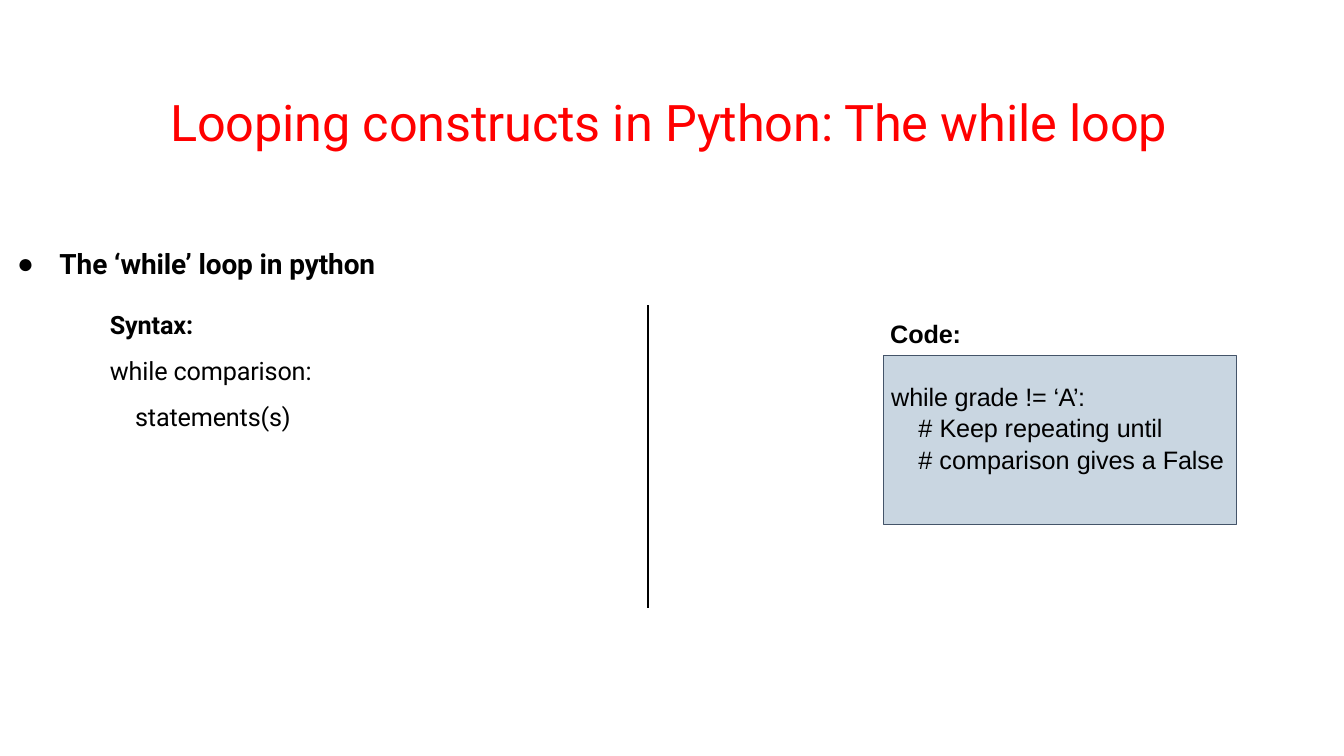
import pptx
import pptx.dml.color
import pptx.enum.shapes
import pptx.enum.text
import pptx.oxml.ns
import pptx.util
from lxml import etree
from pptx.util import Inches

BLACK = pptx.dml.color.RGBColor(0x00, 0x00, 0x00)
RED = pptx.dml.color.RGBColor(0xFF, 0x00, 0x00)
NAVY = pptx.dml.color.RGBColor(0x0B, 0x46, 0x79)
SLATE = pptx.dml.color.RGBColor(0x44, 0x54, 0x69)


def place(shape, left, top, width, height):
    shape.left, shape.top = Inches(left), Inches(top)
    shape.width, shape.height = Inches(width), Inches(height)


def prepare_frame(shape, margin_top=0.01, wrap=True,
                  anchor=pptx.enum.text.MSO_ANCHOR.TOP):
    frame = shape.text_frame
    frame.word_wrap = wrap
    frame.vertical_anchor = anchor
    frame.auto_size = pptx.enum.text.MSO_AUTO_SIZE.NONE
    frame.margin_left = frame.margin_right = frame.margin_bottom = 0
    frame.margin_top = Inches(margin_top)
    return frame


def format_paragraph(paragraph, left=0.01, hanging=0, bullet=None, before=0, spacing=1):
    properties = paragraph._p.get_or_add_pPr()
    properties.set("marL", str(Inches(left)))
    properties.set("indent", str(Inches(-hanging)))
    tag = pptx.oxml.ns.qn("a:buChar" if bullet else "a:buNone")
    mark = etree.SubElement(properties, tag)
    if bullet:
        mark.set("char", bullet)
    paragraph.alignment = pptx.enum.text.PP_ALIGN.LEFT
    paragraph.space_before = pptx.util.Pt(before)
    paragraph.space_after = pptx.util.Pt(0)
    paragraph.line_spacing = spacing


def add_run(paragraph, text, size=18, font="Arial", color=BLACK, bold=False, tracking=-0.1):
    run = paragraph.add_run()
    run.text = text
    run.font.size = pptx.util.Pt(size)
    run.font.name = font
    run.font.bold = bold
    run.font.color.rgb = color
    run._r.get_or_add_rPr().set("spc", str(round(tracking * 100)))


def fill_title(title):
    place(title, 1.68, 0.88, 9.96, 0.63)
    frame = prepare_frame(title, wrap=False, anchor=pptx.enum.text.MSO_ANCHOR.MIDDLE)
    paragraph = frame.paragraphs[0]
    format_paragraph(paragraph)
    add_run(paragraph, "Looping constructs in Python: The while loop", 36, "Roboto", RED)


def fill_syntax(body):
    place(body, 0.16, 2.44, 3.6, 1.87)
    frame = prepare_frame(body)
    lines = [
        ("The ‘while’ loop in python", 20, True,
         dict(left=0.43, hanging=0.42, bullet="●")),
        ("Syntax:", 18, True, dict(left=0.93, before=20.5)),
        ("while comparison:", 18, False, dict(left=0.93, spacing=1.52)),
        ("statements(s)", 18, False, dict(left=1.18, spacing=1.52)),
    ]
    for index, (text, size, bold, layout) in enumerate(lines):
        paragraph = frame.add_paragraph() if index else frame.paragraphs[0]
        format_paragraph(paragraph, **layout)
        add_run(paragraph, text, size, "Roboto", bold=bold)


def add_divider(slide):
    divider = slide.shapes.add_connector(
        pptx.enum.shapes.MSO_CONNECTOR.STRAIGHT,
        Inches(6.43), Inches(3.03), Inches(6.43), Inches(6.03))
    divider.line.color.rgb = BLACK
    divider.line.width = pptx.util.Pt(1.5)
    etree.SubElement(divider._element.spPr, pptx.oxml.ns.qn("a:effectLst"))


def add_code_label(slide):
    label = slide.shapes.add_textbox(Inches(8.82), Inches(3.15), Inches(0.74), Inches(0.33))
    paragraph = prepare_frame(label, wrap=False).paragraphs[0]
    format_paragraph(paragraph)
    add_run(paragraph, "Code:", bold=True)


def add_code_box(slide):
    box = slide.shapes.add_shape(
        pptx.enum.shapes.MSO_SHAPE.RECTANGLE,
        Inches(8.76), Inches(3.53), Inches(3.5), Inches(1.67))
    box.shadow.inherit = False
    box.fill.solid()
    box.fill.fore_color.rgb = NAVY
    color = box._element.spPr.find(".//" + pptx.oxml.ns.qn("a:srgbClr"))
    etree.SubElement(color, pptx.oxml.ns.qn("a:alpha")).set("val", "22000")
    box.line.color.rgb = SLATE
    box.line.width = pptx.util.Pt(0.75)

    frame = prepare_frame(box, margin_top=0.25)
    lines = [
        (0.08, [("while grade != ", -0.1), ("‘A’:", -0.4)]),
        (0.35, [("# ", 0), ("Keep ", -0.1), ("repeating ", 0), ("until", -0.1)]),
        (0.35, [("# comparison ", 0), ("gives ", -0.1), ("a ", 0), ("False", -0.1)]),
    ]
    for index, (left, runs) in enumerate(lines):
        paragraph = frame.add_paragraph() if index else frame.paragraphs[0]
        format_paragraph(paragraph, left, before=1 if index else 0)
        for text, tracking in runs:
            add_run(paragraph, text, tracking=tracking)


def main():
    presentation = pptx.Presentation()
    presentation.slide_width = Inches(13.33)
    presentation.slide_height = Inches(7.5)
    slide = presentation.slides.add_slide(presentation.slide_layouts[1])
    fill_title(slide.shapes.title)
    fill_syntax(slide.placeholders[1])
    add_divider(slide)
    add_code_label(slide)
    add_code_box(slide)
    presentation.save("out.pptx")


if __name__ == "__main__":
    main()
